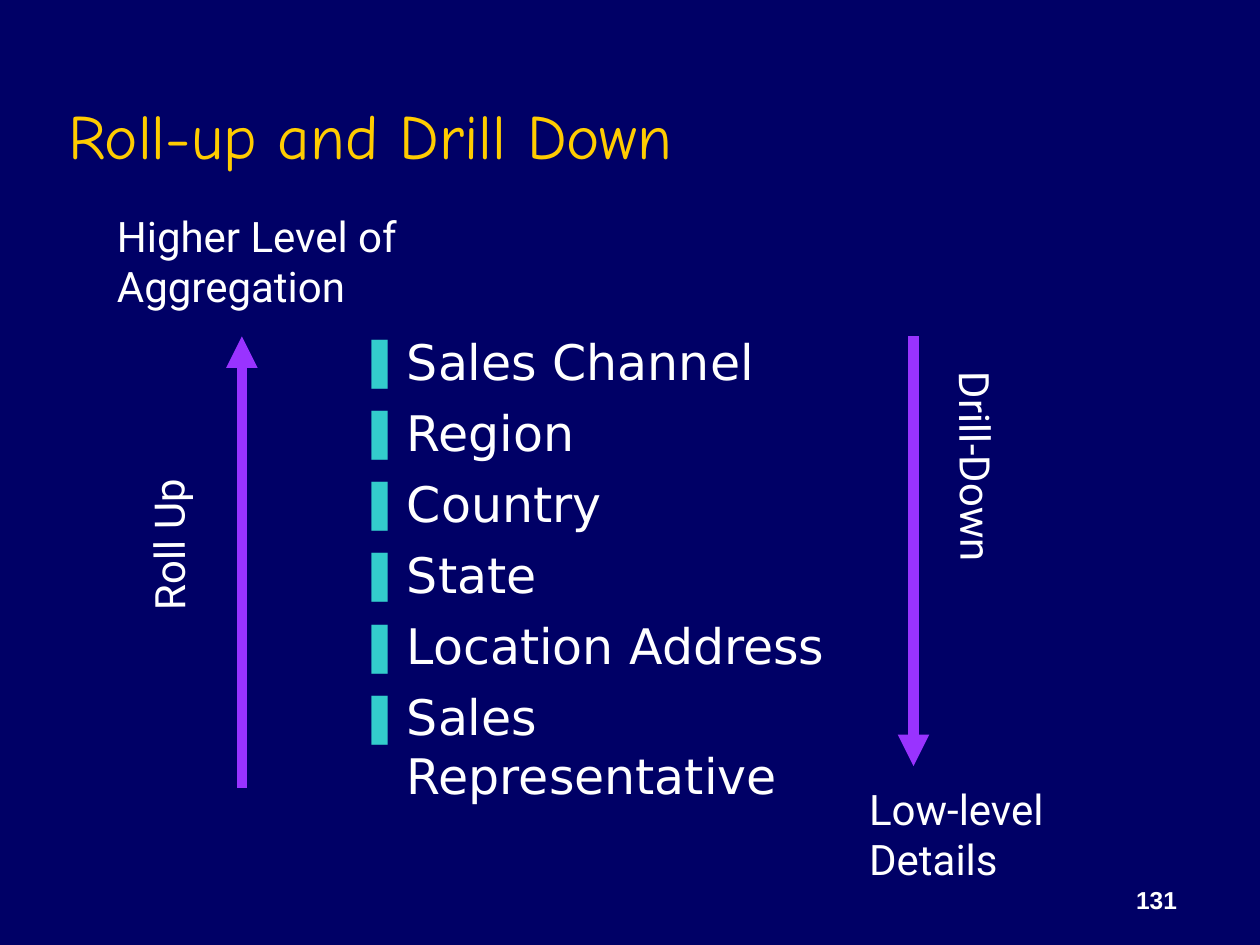
from dataclasses import dataclass

from lxml.etree import SubElement
from pptx import Presentation
from pptx.dml.color import RGBColor
from pptx.enum.shapes import MSO_CONNECTOR
from pptx.enum.text import MSO_ANCHOR, MSO_AUTO_SIZE, PP_ALIGN
from pptx.oxml.ns import qn
from pptx.util import Inches, Pt

NAVY = RGBColor(0x00, 0x00, 0x66)
GOLD = RGBColor(0xFF, 0xCC, 0x00)
WHITE = RGBColor(0xFF, 0xFF, 0xFF)
TEAL = RGBColor(0x33, 0xCC, 0xCC)
PURPLE = RGBColor(0x99, 0x33, 0xFF)


@dataclass(frozen=True)
class Label:
    lines: tuple[str, ...]
    left: float
    top: float
    width: float
    height: float
    rotation: float = 0


@dataclass(frozen=True)
class Arrow:
    x: float
    start: float
    end: float


LEVELS = ("Sales Channel", "Region", "Country", "State",
          "Location Address", "Sales Representative")
ARROWS = (Arrow(1.92, 6.25, 2.67), Arrow(7.25, 2.67, 6.08))
LABELS = (
    Label(("Roll Up",), 0.68, 4.04, 1.31, 0.5, 269.5),
    Label(("Higher Level of", "Aggregation"), 0.83, 1.62, 2.56, 0.9),
    Label(("Low-level", "Details"), 6.8, 6.17, 1.66, 0.9),
    Label(("Drill-Down",), 6.82, 3.53, 1.86, 0.5, 89.5),
)


def place(box, left: float, top: float, width: float, height: float) -> None:
    box.left, box.top = Inches(left), Inches(top)
    box.width, box.height = Inches(width), Inches(height)


def add_bullet(para) -> None:
    properties = para._p.get_or_add_pPr()
    properties.set("marL", str(Inches(0.38)))
    properties.set("indent", str(-Inches(0.38)))
    color = SubElement(properties, qn("a:buClr"))
    SubElement(color, qn("a:srgbClr"), val=str(TEAL))
    SubElement(properties, qn("a:buChar"), char="❚")


def write(box, lines: tuple[str, ...], *, font: str, size: float,
          color: RGBColor = WHITE, bold: bool = False, wrap: bool = True,
          anchor=MSO_ANCHOR.TOP, align=PP_ALIGN.LEFT,
          fit=MSO_AUTO_SIZE.NONE, gap: float = 0,
          bulleted: bool = False) -> None:
    frame = box.text_frame
    frame.word_wrap = wrap
    frame.auto_size = fit
    frame.vertical_anchor = anchor
    for index, line in enumerate(lines):
        para = frame.add_paragraph() if index else frame.paragraphs[0]
        if bulleted:
            add_bullet(para)
        para.alignment = align
        para.space_before = Pt(gap if index else 0)
        span = para.add_run()
        span.text = line
        span.font.name = font
        span.font.size = Pt(size)
        span.font.bold = bold
        span.font.color.rgb = color


def add_label(page, label: Label) -> None:
    box = page.shapes.add_textbox(Inches(label.left), Inches(label.top),
                                  Inches(label.width), Inches(label.height))
    box.rotation = label.rotation
    write(box, label.lines, font="Roboto", size=24, wrap=False,
          fit=MSO_AUTO_SIZE.SHAPE_TO_FIT_TEXT)


def add_arrow(page, arrow: Arrow) -> None:
    line = page.shapes.add_connector(
        MSO_CONNECTOR.STRAIGHT, Inches(arrow.x), Inches(arrow.start),
        Inches(arrow.x), Inches(arrow.end))
    line.line.color.rgb = PURPLE
    line.line.width = Pt(6)
    SubElement(line.line._get_or_add_ln(), qn("a:tailEnd"), type="triangle")
    SubElement(line._element.spPr, qn("a:effectLst"))


def main() -> None:
    deck = Presentation()
    deck.slide_width, deck.slide_height = Inches(10), Inches(7.5)
    page = deck.slides.add_slide(deck.slide_layouts[1])
    page.background.fill.solid()
    page.background.fill.fore_color.rgb = NAVY

    # Title and hierarchy levels
    title, body = page.placeholders
    place(title, 0.44, 0.25, 8.5, 1.17)
    write(title, ("Roll-up and Drill Down",), font="Comic Neue", size=36,
          color=GOLD, anchor=MSO_ANCHOR.BOTTOM)
    place(body, 2.75, 2.58, 4.39, 3.99)
    write(body, LEVELS, font="DejaVu Sans", size=28, gap=7, bulleted=True)

    # Direction arrows and their labels
    for arrow in ARROWS:
        add_arrow(page, arrow)
    for label in LABELS:
        add_label(page, label)

    # Page number
    number = page.shapes.add_textbox(Inches(7.36), Inches(6.81),
                                     Inches(2.08), Inches(0.5))
    write(number, ("131",), font="Arial", size=14, bold=True,
          anchor=MSO_ANCHOR.BOTTOM, align=PP_ALIGN.RIGHT)

    deck.save("out.pptx")


if __name__ == "__main__":
    main()
